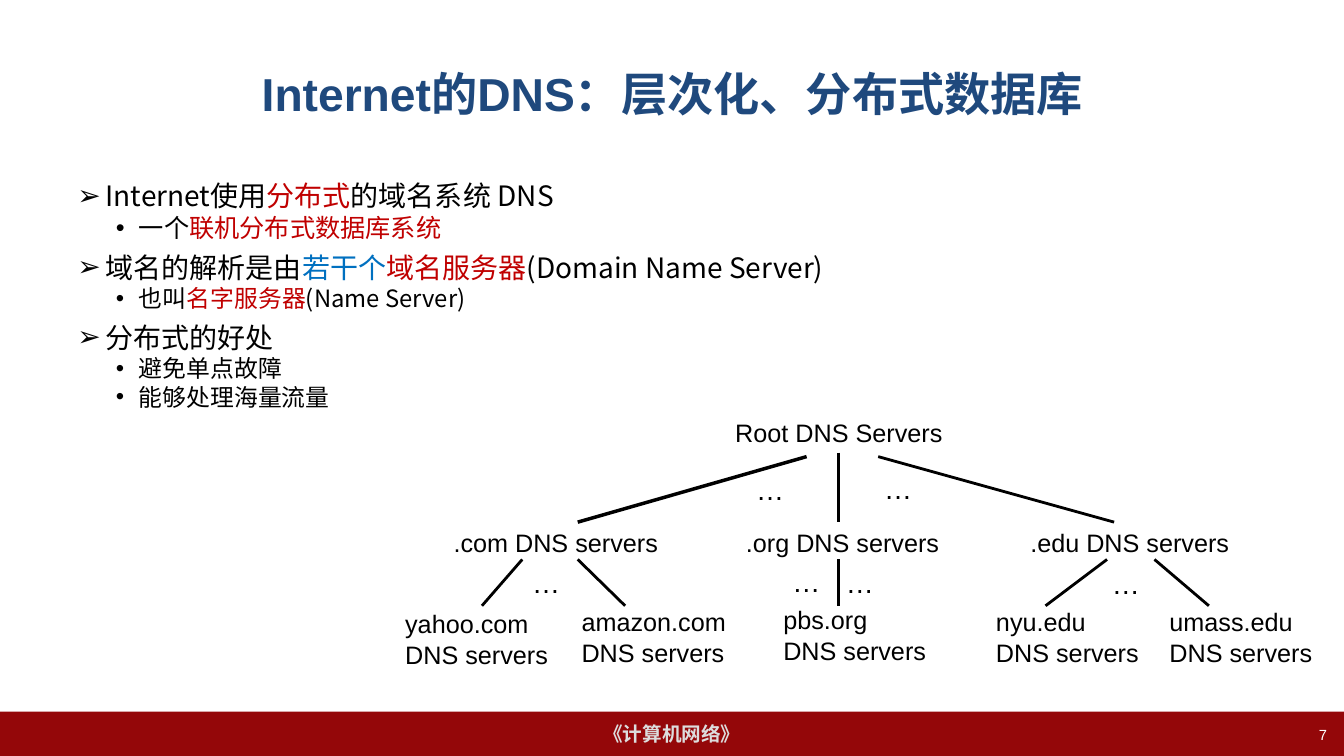
import pptx
import pptx.util
import pptx.dml.color
import pptx.enum.shapes
import pptx.enum.text
import pptx.oxml
import pptx.oxml.ns
from lxml import etree

Inches = pptx.util.Inches
Pt = pptx.util.Pt
ALIGN = pptx.enum.text.PP_ALIGN
ANCHOR = pptx.enum.text.MSO_ANCHOR
qn = pptx.oxml.ns.qn

BLACK, RED, BLUE = "000000", "C00000", "0070C0"


def rgb(value):
    return pptx.dml.color.RGBColor.from_string(value)


class SlideBuilder:
    latin = "Arial"
    cjk = "Noto Sans CJK SC"

    def __init__(self, slide):
        self.s = slide

    def run(self, p, text, size, color=BLACK, bold=False, font=None):
        r = p.add_run()
        r.text = text
        r.font.size = Pt(size)
        r.font.bold = bold
        r.font.name = font or self.latin
        r.font.color.rgb = rgb(color)
        ea = etree.SubElement(r.font._element, qn("a:ea"))
        ea.set("typeface", self.cjk)

    def text(self, at, lines, size, color=BLACK, bold=False,
             align=ALIGN.LEFT, anchor=ANCHOR.TOP, wrap=True):
        sp = self.s.shapes.add_textbox(*map(Inches, at))
        self.fill_text(sp, lines, size, color, bold, align, anchor, wrap)
        return sp

    def fill_text(self, sp, lines, size, color, bold, align, anchor, wrap):
        tf = sp.text_frame
        tf.word_wrap = wrap
        tf.vertical_anchor = anchor
        for i, line in enumerate(lines):
            p = tf.paragraphs[0] if i == 0 else tf.add_paragraph()
            p.alignment = align
            self.run(p, line, size, color, bold)

    def label(self, at, *lines, size=18, align=ALIGN.LEFT):
        sp = self.text(at, lines, size, align=align, wrap=False)
        sp.text_frame.auto_size = pptx.enum.text.MSO_AUTO_SIZE.SHAPE_TO_FIT_TEXT
        return sp

    def bar(self, at, fill, text, size, color):
        sp = self.s.shapes.add_shape(
            pptx.enum.shapes.MSO_SHAPE.RECTANGLE, *map(Inches, at))
        sp.shadow.inherit = False
        sp.fill.solid()
        sp.fill.fore_color.rgb = rgb(fill)
        sp.line.fill.background()
        self.fill_text(sp, [text], size, color, True,
                       ALIGN.CENTER, ANCHOR.MIDDLE, False)

    def line(self, x1, y1, x2, y2, width=2):
        cx = self.s.shapes.add_connector(
            pptx.enum.shapes.MSO_CONNECTOR.STRAIGHT,
            *map(Inches, (x1, y1, x2, y2)))
        cx.line.color.rgb = rgb(BLACK)
        cx.line.width = Pt(width)
        etree.SubElement(cx._element.spPr, qn("a:effectLst"))
        return cx

    def bullets(self, at, items):
        sp = self.s.shapes.add_textbox(*map(Inches, at))
        tf = sp.text_frame
        tf.word_wrap = True
        tf.margin_top = Inches(0.09)
        for i, (level, size, parts) in enumerate(items):
            p = tf.paragraphs[0] if i == 0 else tf.add_paragraph()
            p.alignment = ALIGN.JUSTIFY
            p.level = level
            p.line_spacing = 0.8
            if i:
                p.space_before = Pt((10.2, 4.2)[level])
            left, hang, mark = ((0.28, 0.28, "➢"), (0.61, 0.23, "•"))[level]
            pPr = p._p.get_or_add_pPr()
            pPr.set("marL", str(Inches(left)))
            pPr.set("indent", str(-Inches(hang)))
            etree.SubElement(pPr, qn("a:buFont")).set("typeface", self.latin)
            etree.SubElement(pPr, qn("a:buChar")).set("char", mark)
            for text, color in parts:
                self.run(p, text, size, color, font=self.cjk)


def main():
    prs = pptx.Presentation()
    prs.slide_width = Inches(13.33)
    prs.slide_height = Inches(7.5)
    b = SlideBuilder(prs.slides.add_slide(prs.slide_layouts[6]))

    # Footer and page number
    b.bar((0, 7.06, 13.33, 0.44), "940709", "《计算机网络》", 14, "DDDDDD")
    b.text((10.15, 7.15, 3.11, 0.35), ["7"], 10.5, "FFFFFF", align=ALIGN.RIGHT)

    # Title
    b.text((0.67, 0.3, 12, 1.25), ["Internet的DNS：层次化、分布式数据库"], 33,
           "1F497D", True, ALIGN.CENTER, ANCHOR.MIDDLE)

    # Bullet list
    b.bullets((0.67, 1.75, 12, 4.95), [
        (0, 20, [("Internet使用", BLACK), ("分布式", RED), ("的域名系统 DNS", BLACK)]),
        (1, 18, [("一个", BLACK), ("联机分布式数据库系统", RED)]),
        (0, 20, [("域名的解析是由", BLACK), ("若干个", BLUE), ("域名服务器", RED),
                 ("(Domain Name Server)", BLACK)]),
        (1, 17, [("也叫", BLACK), ("名字服务器", RED), ("(Name Server)", BLACK)]),
        (0, 20, [("分布式的好处", BLACK)]),
        (1, 17, [("避免单点故障", BLACK)]),
        (1, 17, [("能够处理海量流量", BLACK)]),
    ])

    # Tree: root and top-level domains
    root = b.label((7.19, 4.09, 2.26, 0.4), "Root DNS Servers", align=ALIGN.CENTER)
    for x, w, domain in ((4.4, 2.25, ".com"), (7.3, 2.14, ".org"),
                         (10.12, 2.19, ".edu")):
        b.label((x, 5.18, w, 0.4), f"{domain} DNS servers")

    # Tree: authoritative servers
    for x, y, w, host in ((3.92, 5.99, 1.65, "yahoo.com"),
                          (5.67, 5.97, 1.63, "amazon.com"),
                          (7.67, 5.95, 1.62, "pbs.org"),
                          (9.78, 5.97, 1.62, "nyu.edu"),
                          (11.5, 5.97, 1.62, "umass.edu")):
        b.label((x, y, w, 0.7), host, "DNS servers")

    # Branches from the root
    b.line(8, 4.53, 5.73, 5.18, 2.5)
    b.line(8.32, 4.49, 8.32, 5.18).begin_connect(root, 2)
    b.line(8.71, 4.53, 11.05, 5.18)

    # Branches to the authoritative servers
    for x1, x2 in ((5.18, 4.78), (5.73, 6.2), (8.32, 8.32),
                   (10.98, 10.37), (11.45, 11.99)):
        b.line(x1, 5.55, x2, 6.01)

    # Ellipses between the branches
    for x, y in ((7.4, 4.64), (8.67, 4.63), (5.18, 5.56), (7.76, 5.55),
                 (8.29, 5.56), (10.93, 5.57)):
        b.label((x, y, 0.48, 0.43), "…", size=20)

    prs.save("out.pptx")


if __name__ == "__main__":
    main()
